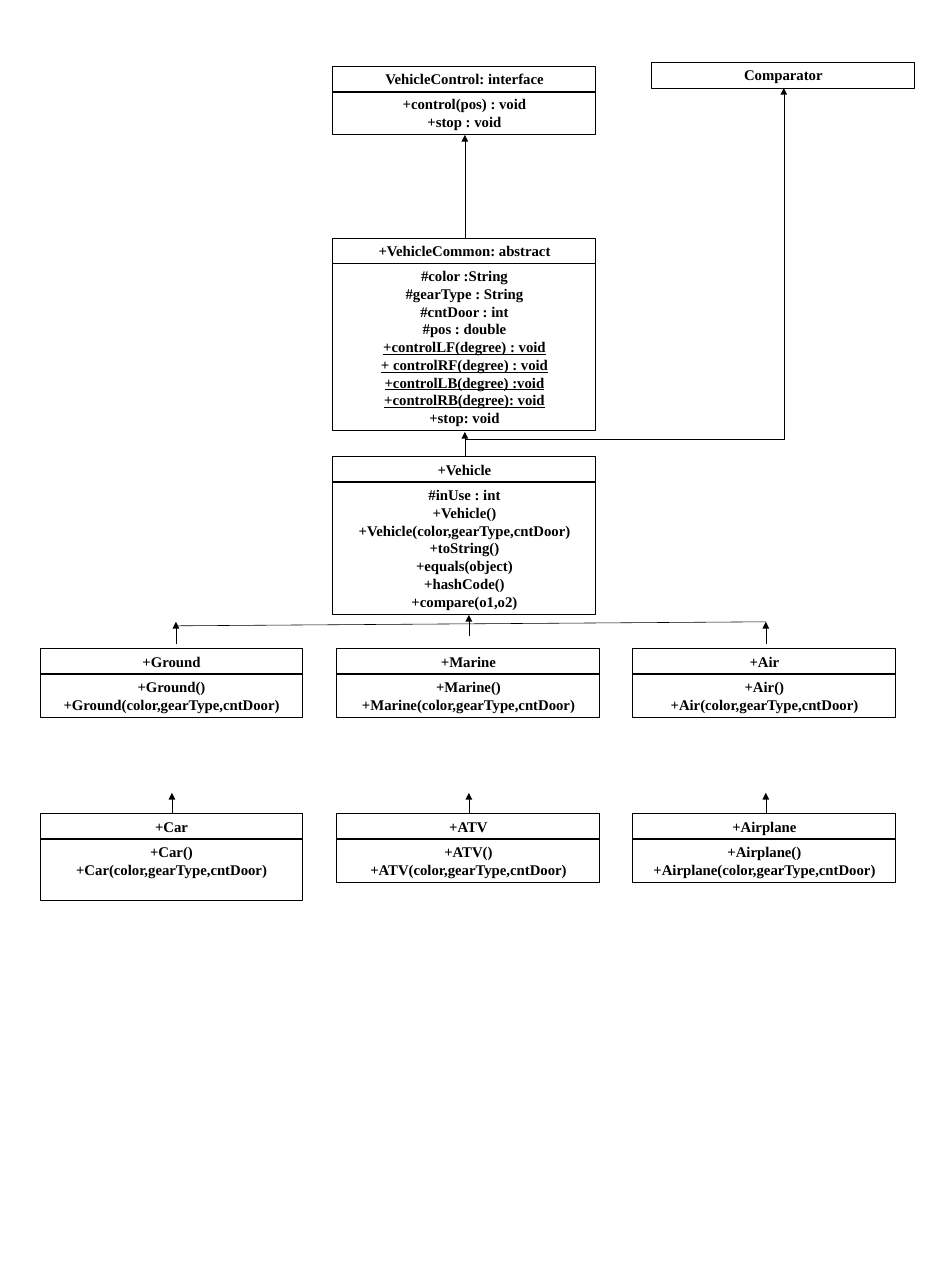
from dataclasses import dataclass

from lxml.etree import SubElement
from pptx import Presentation
from pptx.dml.color import RGBColor
from pptx.enum.shapes import MSO_CONNECTOR, MSO_SHAPE
from pptx.enum.text import MSO_ANCHOR, PP_ALIGN
from pptx.oxml.ns import qn
from pptx.shapes.connector import Connector
from pptx.slide import Slide
from pptx.util import Emu, Inches, Pt

PIXELS_PER_INCH = 81.8
BLACK = RGBColor(0x00, 0x00, 0x00)
FONT_NAME = "Times New Roman"
FONT_SIZE = Pt(13)
BOX_WIDTH = 263
TITLE_HEIGHT = 26
BODY_OFFSET = 25
BODY_PADDING = 9
LINE_PITCH = 17.7
COLUMN_LEFTS = (40, 337, 633)
SUBCLASS_TOP = 649
MODEL_TOP = 814
CONSTRUCTOR_ARGUMENTS = "(color,gearType,cntDoor)"


@dataclass(frozen=True)
class ClassBox:
    """A UML class; member names in underlined are static."""

    title: str
    left: int
    top: int
    members: tuple[str, ...] = ()
    underlined: tuple[str, ...] = ()
    spare_lines: int = 0


@dataclass(frozen=True)
class Link:
    """A straight line between two points."""

    start: tuple[int, int]
    end: tuple[int, int]
    arrow: bool = True


def constructor_box(name: str, left: int, top: int, spare_lines: int = 0) -> ClassBox:
    """Describe a class that has only its two constructors."""
    members = (f"+{name}()", f"+{name}{CONSTRUCTOR_ARGUMENTS}")
    return ClassBox(f"+{name}", left, top, members, spare_lines=spare_lines)


STATIC_CONTROLS = (
    "+controlLF(degree) : void",
    "+ controlRF(degree) : void",
    "+controlLB(degree) :void",
    "+controlRB(degree): void",
)

CLASS_BOXES = [
    ClassBox("VehicleControl: interface", 333, 66, ("+control(pos) : void", "+stop : void")),
    ClassBox("Comparator", 652, 62),
    ClassBox(
        "+VehicleCommon: abstract", 333, 238,
        ("#color :String", "#gearType : String", "#cntDoor : int", "#pos : double",
         *STATIC_CONTROLS, "+stop: void"),
        underlined=STATIC_CONTROLS,
    ),
    ClassBox(
        "+Vehicle", 333, 457,
        ("#inUse : int", "+Vehicle()", f"+Vehicle{CONSTRUCTOR_ARGUMENTS}", "+toString()",
         "+equals(object)", "+hashCode()", "+compare(o1,o2)"),
    ),
    *(constructor_box(name, left, SUBCLASS_TOP)
      for name, left in zip(("Ground", "Marine", "Air"), COLUMN_LEFTS)),
    *(constructor_box(name, left, MODEL_TOP, spare_lines)
      for name, left, spare_lines in zip(("Car", "ATV", "Airplane"), COLUMN_LEFTS, (1, 0, 0))),
]

LINKS = [
    Link((465, 238), (465, 135)),
    Link((465, 457), (465, 432)),
    Link((469, 636), (469, 615)),
    Link((176, 644), (176, 622)),
    Link((766, 644), (766, 622)),
    Link((176, 626), (766, 622), arrow=False),
    *(Link((center, MODEL_TOP), (center, 793)) for center in (172, 469, 766)),
]


def px(pixels: float) -> Emu:
    """Convert pixels to EMU."""
    return Emu(round(pixels * 914400 / PIXELS_PER_INCH))


def add_compartment(slide: Slide, left: int, top: int, height: int,
                    lines: tuple[str, ...], underlined: tuple[str, ...] = ()) -> None:
    """Draw one outlined compartment with centred lines of text."""
    shape = slide.shapes.add_shape(
        MSO_SHAPE.RECTANGLE, px(left), px(top), px(BOX_WIDTH), px(height))
    shape.shadow.inherit = False
    shape.fill.background()
    shape.line.color.rgb = BLACK
    shape.line.width = Pt(0.75)
    text_frame = shape.text_frame
    text_frame.word_wrap = True
    text_frame.vertical_anchor = MSO_ANCHOR.TOP
    text_frame.text = "\n".join(lines)
    for paragraph in text_frame.paragraphs:
        paragraph.alignment = PP_ALIGN.CENTER
        font = paragraph.font
        font.name = FONT_NAME
        font.size = FONT_SIZE
        font.bold = True
        font.color.rgb = BLACK
        if paragraph.text in underlined:
            paragraph.runs[0].font.underline = True


def add_class_box(slide: Slide, box: ClassBox) -> None:
    """Draw a class title and, below it, its members."""
    add_compartment(slide, box.left, box.top, TITLE_HEIGHT, (box.title,))
    if box.members:
        line_count = len(box.members) + box.spare_lines
        height = round(BODY_PADDING + LINE_PITCH * line_count)
        add_compartment(slide, box.left, box.top + BODY_OFFSET, height,
                        box.members, box.underlined)


def style_connector(connector: Connector, arrow: bool) -> None:
    """Make a connector thin, black and flat, with an optional arrowhead."""
    connector.line.color.rgb = BLACK
    connector.line.width = Pt(0.5)
    if arrow:
        SubElement(connector.line._get_or_add_ln(), qn("a:tailEnd"), type="triangle")
    SubElement(connector._element.spPr, qn("a:effectLst"))


def add_link(slide: Slide, link: Link) -> None:
    """Draw a straight link."""
    connector = slide.shapes.add_connector(
        MSO_CONNECTOR.STRAIGHT, *map(px, link.start + link.end))
    style_connector(connector, link.arrow)


def add_rising_elbow(slide: Slide, start: tuple[int, int], end: tuple[int, int],
                     dip: int) -> None:
    """Draw an elbow that dips below its start, runs right and rises to its end."""
    run, rise = end[0] - start[0], start[1] - end[1]
    center_x, center_y = (start[0] + end[0]) / 2, (start[1] + end[1]) / 2
    connector = slide.shapes.add_connector(
        MSO_CONNECTOR.ELBOW,
        px(center_x + rise / 2), px(center_y + run / 2),
        px(center_x - rise / 2), px(center_y - run / 2))
    properties = connector._element.spPr
    properties.find(qn("a:xfrm")).set("rot", str(90 * 60000))
    adjustments = properties.find(qn("a:prstGeom")).get_or_add_avLst()
    SubElement(adjustments, qn("a:gd"), name="adj1", fmla=f"val {round(-dip / rise * 100000)}")
    style_connector(connector, arrow=True)


def main() -> None:
    """Build the vehicle class diagram."""
    presentation = Presentation()
    presentation.slide_width = Inches(11.36)
    presentation.slide_height = Inches(15.75)
    slide = presentation.slides.add_slide(presentation.slide_layouts[6])
    for box in CLASS_BOXES:
        add_class_box(slide, box)
    for link in LINKS:
        add_link(slide, link)
    add_rising_elbow(slide, (465, 435), (784, 88), dip=5)
    presentation.save("out.pptx")


main()
